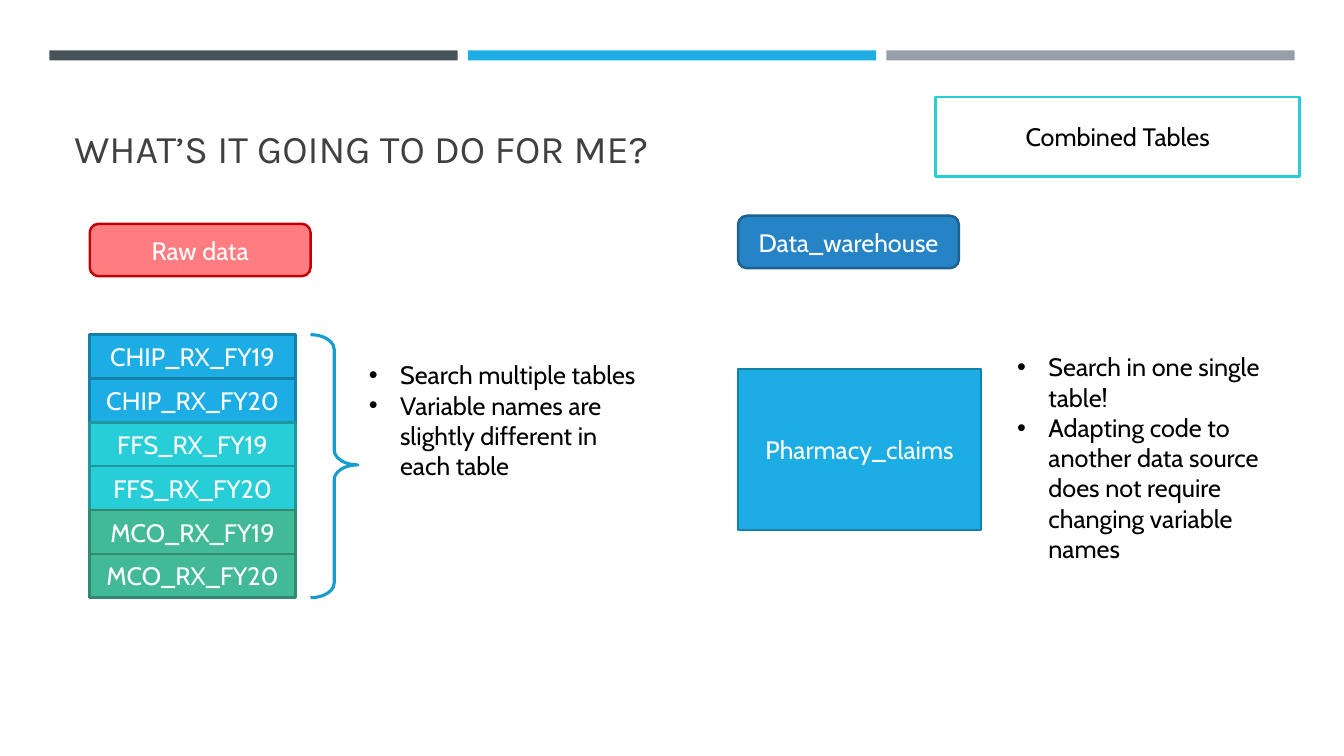
from lxml.etree import SubElement
from pptx import Presentation
from pptx.dml.color import RGBColor
from pptx.enum.shapes import MSO_SHAPE
from pptx.enum.text import MSO_ANCHOR, MSO_AUTO_SIZE, PP_ALIGN
from pptx.oxml.ns import qn
from pptx.util import Pt

EMU_PER_PX = 9144  # 100 px to the inch

WHITE = RGBColor(0xFF, 0xFF, 0xFF)
BLACK = RGBColor(0x00, 0x00, 0x00)
CHARCOAL = RGBColor(0x40, 0x40, 0x40)
SLATE = RGBColor(0x46, 0x53, 0x59)
GRAY = RGBColor(0x96, 0x9F, 0xA7)
SKY = RGBColor(0x1C, 0xAD, 0xE4)
SKY_EDGE = RGBColor(0x15, 0x80, 0xA9)
TEAL = RGBColor(0x27, 0xCE, 0xD7)
TEAL_EDGE = RGBColor(0x1D, 0x98, 0x9F)
GREEN = RGBColor(0x42, 0xBA, 0x97)
GREEN_EDGE = RGBColor(0x31, 0x8A, 0x70)
BLUE = RGBColor(0x26, 0x83, 0xC6)
BLUE_EDGE = RGBColor(0x1C, 0x61, 0x92)
CORAL = RGBColor(0xFF, 0x7C, 0x80)
RED = RGBColor(0xC0, 0x00, 0x00)
BRACE_BLUE = RGBColor(0x18, 0x9C, 0xCE)


def px(*values):
    return [round(v * EMU_PER_PX) for v in values]


class SlideBuilder:
    heading_font, body_font = "Karla", "Cabin"
    heading_size, body_size = 28, 18
    line_width = 1.75
    indent = 31

    def __init__(self, prs):
        self.slide = prs.slides.add_slide(prs.slide_layouts[6])

    def style(self, p, color, font=body_font, size=body_size):
        for r in p.runs:
            r.font.name = font
            r.font.size = Pt(size)
            r.font.color.rgb = color

    def shape(self, kind, box, fill=None, line=None, width=line_width):
        sp = self.slide.shapes.add_shape(kind, *px(*box))
        sp.shadow.inherit = False
        if fill is None:
            sp.fill.background()
        else:
            sp.fill.solid()
            sp.fill.fore_color.rgb = fill
        if line is None:
            sp.line.fill.background()
        else:
            sp.line.color.rgb = line
            sp.line.width = Pt(width)
        return sp

    def label(self, text, box, fill, line, color=WHITE, kind=MSO_SHAPE.RECTANGLE):
        sp = self.shape(kind, box, fill, line)
        tf = sp.text_frame
        tf.text = text
        tf.vertical_anchor = MSO_ANCHOR.MIDDLE
        p = tf.paragraphs[0]
        p.alignment = PP_ALIGN.CENTER
        self.style(p, color)

    def text_frame(self, box):
        tf = self.slide.shapes.add_textbox(*px(*box)).text_frame
        tf.word_wrap = True
        return tf

    def title(self, text, box):
        tf = self.text_frame(box)
        tf.vertical_anchor = MSO_ANCHOR.BOTTOM
        tf.text = text
        self.style(tf.paragraphs[0], CHARCOAL, self.heading_font, self.heading_size)

    def bullets(self, items, box):
        tf = self.text_frame(box)
        tf.auto_size = MSO_AUTO_SIZE.SHAPE_TO_FIT_TEXT
        tf.text = "\n".join(items)
        for p in tf.paragraphs:
            pPr = p._p.get_or_add_pPr()
            margin, = px(self.indent)
            pPr.set("marL", str(margin))
            pPr.set("indent", str(-margin))
            SubElement(pPr, qn("a:buFont"), typeface="Arial")
            SubElement(pPr, qn("a:buChar"), char="•")
            self.style(p, BLACK)

    def brace(self, box, curve, point, color):
        sp = self.shape(MSO_SHAPE.RIGHT_BRACE, box, line=color, width=2.25)
        sp.adjustments[0] = curve
        sp.adjustments[1] = point


def main():
    prs = Presentation()
    prs.slide_width, prs.slide_height = px(1333, 750)
    s = SlideBuilder(prs)

    # Bars across the top
    for i, color in enumerate((SLATE, SKY, GRAY)):
        s.shape(MSO_SHAPE.RECTANGLE, (49 + i * 415, 50, 405, 10), color)

    # Title and topic
    s.title("WHAT’S IT GOING TO DO FOR ME?", (64, 77, 1206, 98))
    s.label("Combined Tables", (928, 96, 361, 79), WHITE, TEAL, BLACK)

    # Column headings
    rounded = MSO_SHAPE.ROUNDED_RECTANGLE
    s.label("Raw data", (89, 222, 219, 52), CORAL, RED, kind=rounded)
    s.label("Data_warehouse", (732, 214, 219, 52), BLUE, BLUE_EDGE, kind=rounded)

    # Raw tables: one per source and year
    sources = (("CHIP", SKY, SKY_EDGE), ("FFS", TEAL, TEAL_EDGE),
               ("MCO", GREEN, GREEN_EDGE))
    tables = [(f"{name}_RX_FY{year}", fill, edge)
              for name, fill, edge in sources for year in (19, 20)]
    stack_top, stack_height = 332, 261
    row_height = stack_height / len(tables)
    for i, (name, fill, edge) in enumerate(tables):
        box = (89, stack_top + i * row_height, 204, row_height)
        s.label(name, box, fill, edge)
    s.brace((308, stack_top, 47, stack_height), 0.31, 0.495, BRACE_BLUE)
    s.bullets(("Search multiple tables",
               "Variable names are slightly different in each table"),
              (356, 352, 295, 131))

    # Warehouse table
    s.label("Pharmacy_claims", (732, 366, 241, 160), SKY, SKY_EDGE)
    s.bullets(("Search in one single table!",
               "Adapting code to another data source does not require "
               "changing variable names"),
              (999, 344, 295, 222))

    prs.save("out.pptx")


if __name__ == "__main__":
    main()
